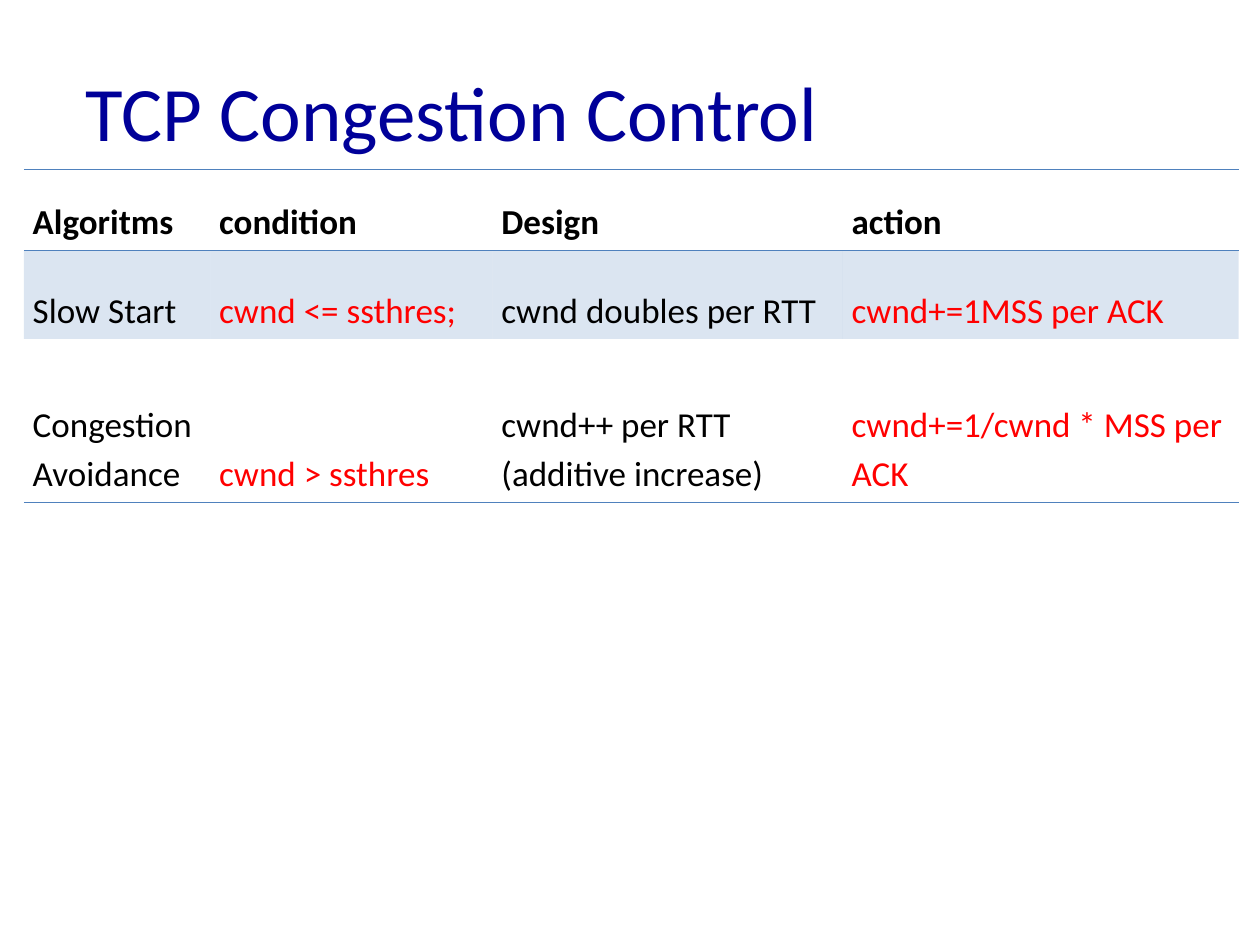
from lxml.etree import SubElement
from pptx import Presentation
from pptx.dml.color import RGBColor as Color
from pptx.enum.text import MSO_ANCHOR as Anchor
from pptx.oxml import parse_xml
from pptx.oxml.ns import nsdecls, qn
from pptx.util import Inches, Pt

# Content
TITLE = "TCP Congestion Control"
ROWS = [
    ("Algoritms", "condition", "Design", "action"),
    ("Slow Start", "cwnd <= ssthres;", "cwnd doubles per RTT", "cwnd+=1MSS per ACK"),
    ("Congestion Avoidance", "cwnd > ssthres", "cwnd++ per RTT (additive increase)",
     "cwnd+=1/cwnd * MSS per ACK"),
]
COLUMN_WIDTHS = (1.48, 2.24, 2.78, 3.14)
ROW_HEIGHTS = (0.65, 0.7, 1.3)
RED_COLUMNS = (1, 3)
SHADED_ROW = 1

THEME = {
    "font": "Calibri", "title_size": 44, "cell_size": 20,
    "title": "000099", "text": "000000", "accent": "FF0000",
    "rule": "4F81BD", "rule_width": 0.45, "shade_percent": 20,
}


def add_text(para, text, size, color, bold=False):
    span = para.add_run()
    span.text = text
    font = span.font
    font.name, font.size, font.bold = THEME["font"], Pt(size), bold
    font.color.rgb = Color.from_string(color)


def set_borders(cell, ruled_sides):
    """Rule the given sides of a cell and clear the others."""
    properties = cell._tc.get_or_add_tcPr()
    for position, side in enumerate("LRTB"):
        if side in ruled_sides:
            paint = f'<a:solidFill><a:srgbClr val="{THEME["rule"]}"/></a:solidFill>'
        else:
            paint = "<a:noFill/>"
        line = parse_xml(f'<a:ln{side} {nsdecls("a")} w="{Pt(THEME["rule_width"])}">'
                         f'{paint}</a:ln{side}>')
        properties.insert(position, line)


def set_shade(cell, shaded):
    if not shaded:
        cell.fill.background()
        return
    cell.fill.solid()
    cell.fill.fore_color.rgb = Color.from_string(THEME["rule"])
    color = cell._tc.tcPr.find(qn("a:solidFill")).find(qn("a:srgbClr"))
    SubElement(color, qn("a:alpha")).set("val", str(THEME["shade_percent"] * 1000))


def add_title(page):
    box = page.shapes.add_textbox(Inches(0.58), Inches(0.25), Inches(8.5), Inches(1.25))
    frame = box.text_frame
    frame.word_wrap = True
    frame.vertical_anchor = Anchor.MIDDLE
    add_text(frame.paragraphs[0], TITLE, THEME["title_size"], THEME["title"])


def fill_cell(cell, row, column):
    cell.margin_left = cell.margin_right = Inches(0.07)
    cell.margin_top = cell.margin_bottom = Inches(0.05)
    cell.vertical_anchor = Anchor.BOTTOM
    set_shade(cell, row == SHADED_ROW)
    # Rules run above and below the header and under the last row
    set_borders(cell, ("TB", "T", "B")[row])
    para = cell.text_frame.paragraphs[0]
    para.line_spacing = 1.15
    is_header = row == 0
    is_red = column in RED_COLUMNS and not is_header
    add_text(para, ROWS[row][column], THEME["cell_size"],
             THEME["accent" if is_red else "text"], is_header)


def add_algorithm_table(page):
    table = page.shapes.add_table(
        len(ROWS), len(COLUMN_WIDTHS), Inches(0.19), Inches(1.34),
        Inches(sum(COLUMN_WIDTHS)), Inches(sum(ROW_HEIGHTS))).table
    table.first_row = table.horz_banding = False
    for column, width in zip(table.columns, COLUMN_WIDTHS):
        column.width = Inches(width)
    for row, height in enumerate(ROW_HEIGHTS):
        table.rows[row].height = Inches(height)
        for column in range(len(COLUMN_WIDTHS)):
            fill_cell(table.cell(row, column), row, column)


def main():
    deck = Presentation()
    deck.slide_width, deck.slide_height = Inches(10), Inches(7.5)
    page = deck.slides.add_slide(deck.slide_layouts[6])
    add_title(page)
    add_algorithm_table(page)
    deck.save("out.pptx")


if __name__ == "__main__":
    main()
